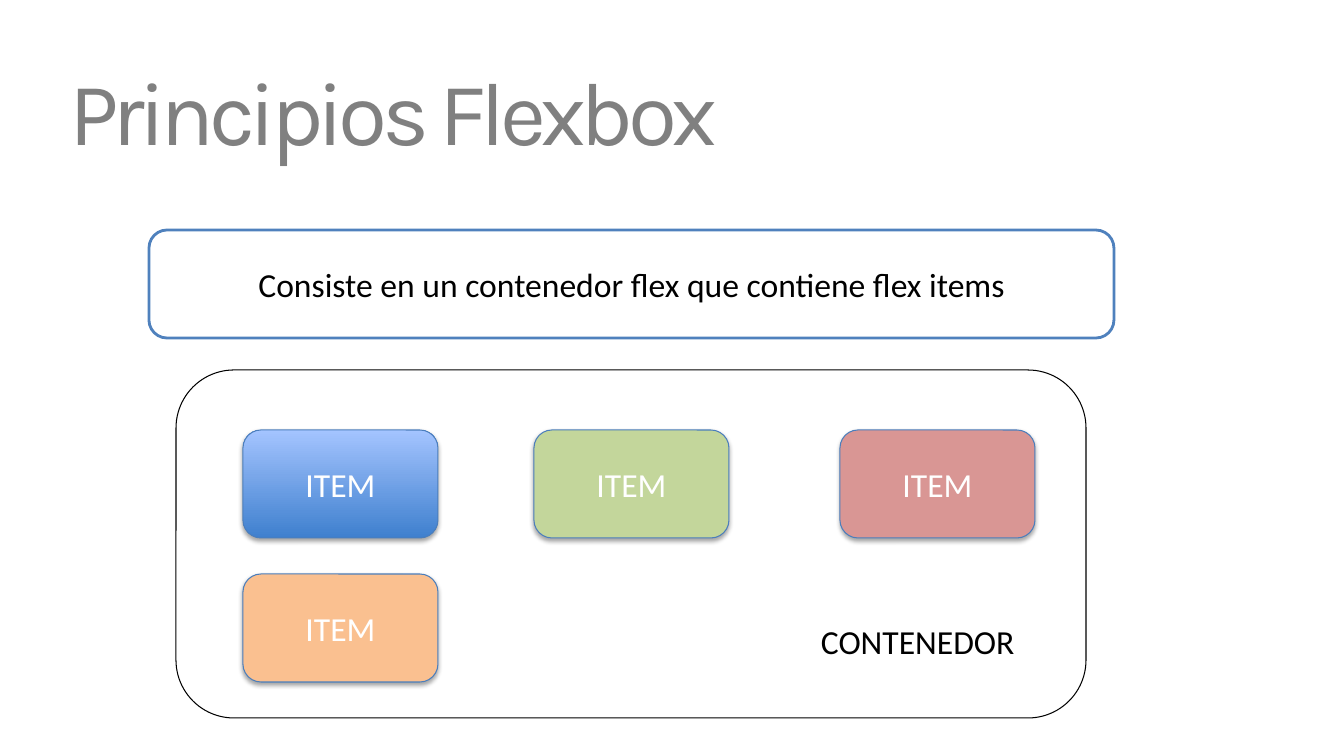
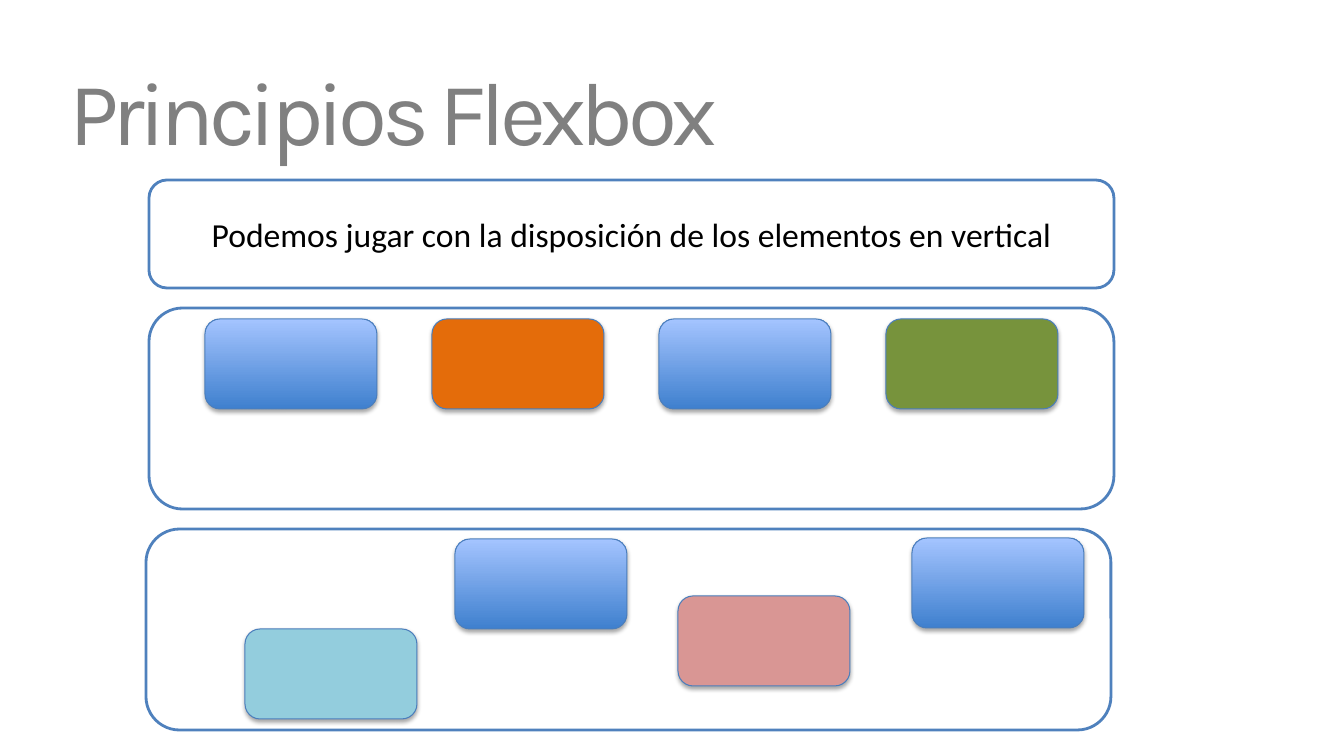
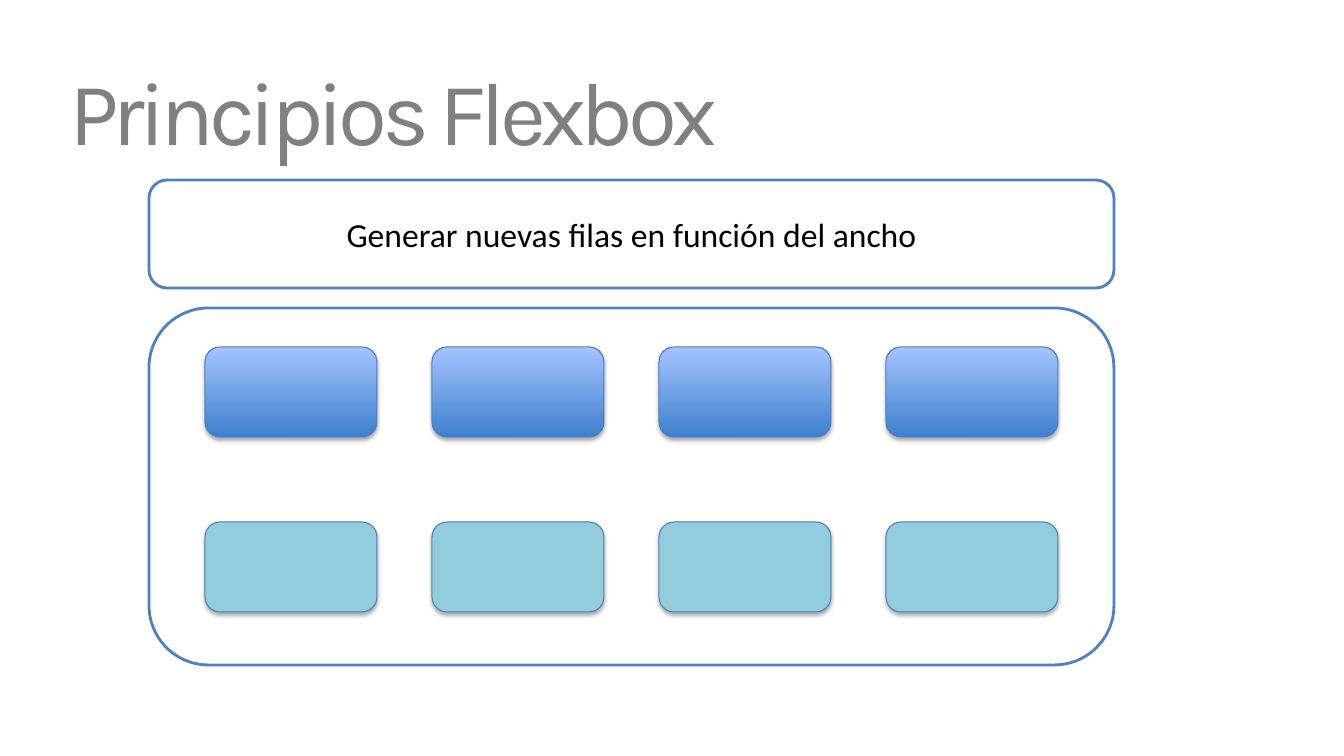
"""Build three slides on the principles of Flexbox."""
from dataclasses import dataclass
from typing import Optional, Union

from lxml import etree
from pptx import Presentation
from pptx import util as u
from pptx.dml.color import RGBColor
from pptx.enum import shapes, text
from pptx.oxml import parse_xml
from pptx.oxml.ns import nsdecls, qn

SCALE = 914400 / 100.8
WHITE = RGBColor(0xFF, 0xFF, 0xFF)
BLACK = RGBColor(0x00, 0x00, 0x00)
GREY = RGBColor(0x80, 0x80, 0x80)
FRAME_BLUE = RGBColor(0x4F, 0x81, 0xBD)
EDGE_BLUE = RGBColor(0x4B, 0x7E, 0xBC)
DEEP_BLUE = RGBColor(0x3F, 0x80, 0xCE)
PALE_BLUE = RGBColor(0xA4, 0xC4, 0xFF)
PEACH = RGBColor(0xFA, 0xC0, 0x90)
LIME = RGBColor(0xC3, 0xD6, 0x9B)
ROSE = RGBColor(0xD9, 0x96, 0x94)
ORANGE = RGBColor(0xE4, 0x6C, 0x0A)
OLIVE = RGBColor(0x77, 0x93, 0x3C)
AQUA = RGBColor(0x93, 0xCD, 0xDD)
GRADIENT = (DEEP_BLUE, PALE_BLUE)

TITLE = "Principios Flexbox"
TITLE_FONT, BODY_FONT = "Karla", "Calibri"
FRAME_LEFT, FRAME_WIDTH = 149, 965
BANNER_HEIGHT = 108
ITEM_WIDTH, ITEM_HEIGHT = 195, 108
TILE_WIDTH, TILE_HEIGHT = 172, 90
TILE_LEFT, TILE_PITCH = 205, 227

Fill = Union[RGBColor, tuple, None]


@dataclass(frozen=True)
class Box:
    left: int
    top: int
    width: int
    height: int
    fill: Fill = WHITE
    line: RGBColor = FRAME_BLUE
    weight: float = 2
    label: str = ""
    ink: RGBColor = BLACK
    shadow: bool = False


def px(n: int) -> u.Emu:
    return u.Emu(round(n * SCALE))


def add_run(p, content: str, font: str, size: int, color: RGBColor):
    r = p.add_run()
    r.text = content
    r.font.name = font
    r.font.size = u.Pt(size)
    r.font.color.rgb = color
    return r


def set_fill(sp, fill: Fill) -> None:
    if fill is None:
        sp.fill.background()
    elif fill == GRADIENT:
        sp.fill.gradient()
        sp.fill.gradient_angle = 90
        for stop, color, position in zip(sp.fill.gradient_stops, GRADIENT, (0, 1)):
            stop.color.rgb = color
            stop.position = position
    else:
        sp.fill.solid()
        sp.fill.fore_color.rgb = fill


def add_shadow(sp) -> None:
    effects = sp._element.spPr.find(qn("a:effectLst"))
    effects.append(parse_xml(
        f'<a:outerShdw {nsdecls("a")} blurRad="40000" dist="23000" dir="5400000" '
        'rotWithShape="0"><a:srgbClr val="000000"><a:alpha val="35000"/>'
        '</a:srgbClr></a:outerShdw>'))


def draw_box(s, box: Box) -> None:
    sp = s.shapes.add_shape(
        shapes.MSO_SHAPE.ROUNDED_RECTANGLE,
        px(box.left), px(box.top), px(box.width), px(box.height))
    set_fill(sp, box.fill)
    sp.line.color.rgb = box.line
    sp.line.width = u.Pt(box.weight)
    sp.shadow.inherit = False
    if box.shadow:
        add_shadow(sp)
    if box.label:
        tf = sp.text_frame
        tf.vertical_anchor = text.MSO_ANCHOR.MIDDLE
        p = tf.paragraphs[0]
        p.alignment = text.PP_ALIGN.CENTER
        add_run(p, box.label, BODY_FONT, 24, box.ink)


def banner(top: int, label: str) -> Box:
    return Box(FRAME_LEFT, top, FRAME_WIDTH, BANNER_HEIGHT, label=label)


def frame(top: int, height: int, left: int = FRAME_LEFT) -> Box:
    return Box(left, top, FRAME_WIDTH, height)


def item(left: int, top: int, fill: Fill) -> Box:
    return Box(left, top, ITEM_WIDTH, ITEM_HEIGHT, fill, EDGE_BLUE, 0.75,
               "ITEM", WHITE, True)


def tile(left: int, top: int, fill: Fill) -> Box:
    return Box(left, top, TILE_WIDTH, TILE_HEIGHT, fill, EDGE_BLUE, 0.75,
               shadow=True)


def tile_row(top: int, fills: list) -> list[Box]:
    return [tile(TILE_LEFT + i * TILE_PITCH, top, fill)
            for i, fill in enumerate(fills)]


def add_slide(prs, boxes: list[Box]):
    s = prs.slides.add_slide(prs.slide_layouts[5])
    title = s.shapes.title
    title.left, title.top, title.width, title.height = map(px, (59, 44, 1210, 132))
    tf = title.text_frame
    tf.auto_size = text.MSO_AUTO_SIZE.NONE
    tf.vertical_anchor = text.MSO_ANCHOR.MIDDLE
    p = tf.paragraphs[0]
    p.alignment = text.PP_ALIGN.LEFT
    r = add_run(p, TITLE, TITLE_FONT, 64, GREY)
    r.font._element.set("spc", "-400")
    for box in boxes:
        draw_box(s, box)
    return s


def add_caption(s, left: int, top: int, width: int, height: int, label: str) -> None:
    tf = s.shapes.add_textbox(px(left), px(top), px(width), px(height)).text_frame
    tf.word_wrap = True
    add_run(tf.paragraphs[0], label, BODY_FONT, 24, BLACK)


def main() -> None:
    prs = Presentation()
    prs.slide_width, prs.slide_height = px(1344), px(756)

    s = add_slide(prs, [
        banner(230, "Consiste en un contenedor flex que contiene flex items"),
        Box(176, 370, 910, 348, None, BLACK, 0.75),
        item(243, 430, GRADIENT),
        item(243, 574, PEACH),
        item(534, 430, LIME),
        item(840, 430, ROSE),
    ])
    add_caption(s, 811, 616, 223, 50, "CONTENEDOR")

    add_slide(prs, [
        banner(180, "Podemos jugar con la disposición de los elementos en vertical"),
        frame(308, 201),
        *tile_row(319, [GRADIENT, ORANGE, GRADIENT, OLIVE]),
        frame(529, 201, left=146),
        tile(455, 539, GRADIENT),
        tile(245, 629, AQUA),
        tile(678, 596, ROSE),
        tile(912, 538, GRADIENT),
    ])

    add_slide(prs, [
        banner(180, "Generar nuevas filas en función del ancho"),
        frame(308, 357),
        *tile_row(347, [GRADIENT] * 4),
        *tile_row(522, [AQUA] * 4),
    ])

    prs.save("out.pptx")


if __name__ == "__main__":
    main()
